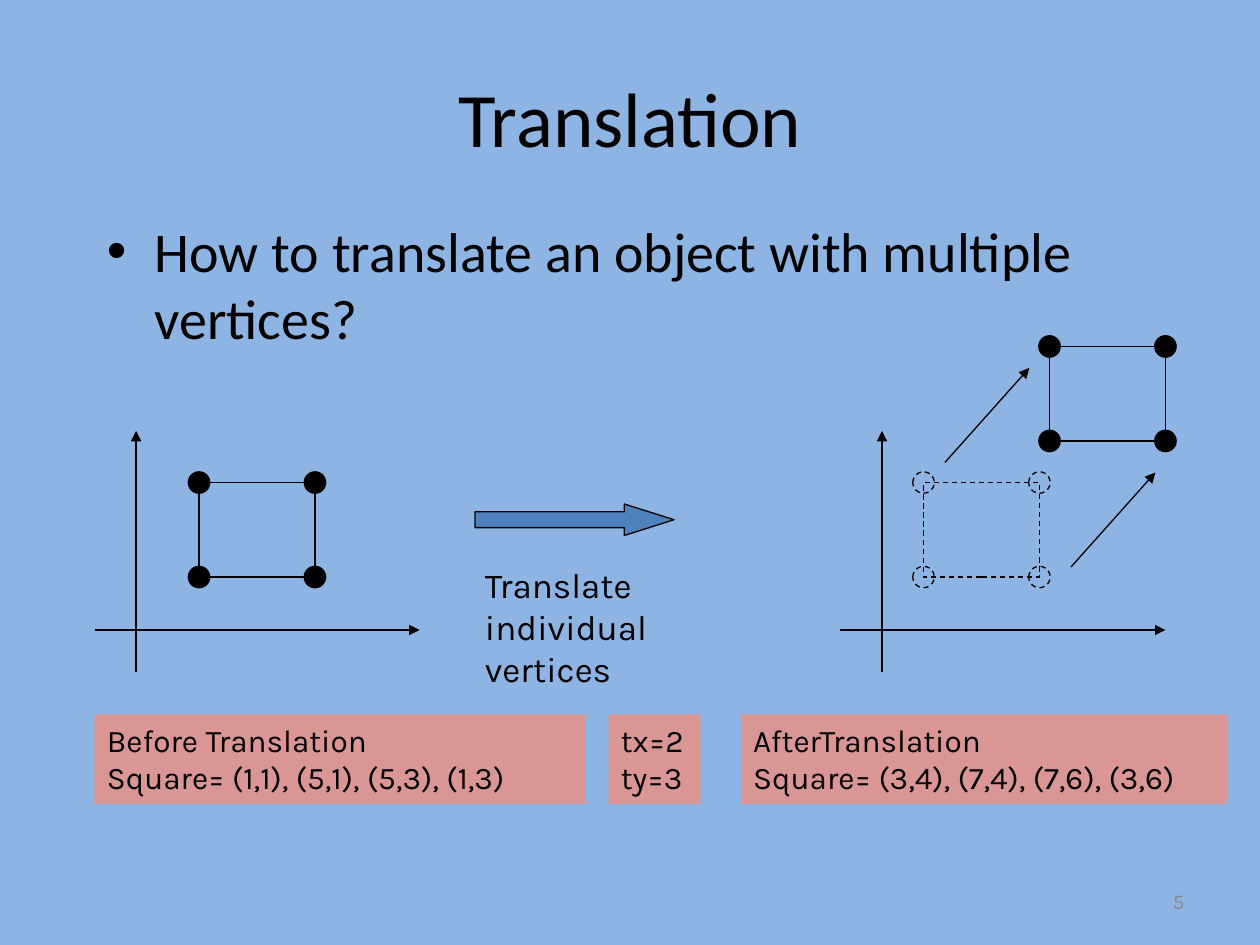
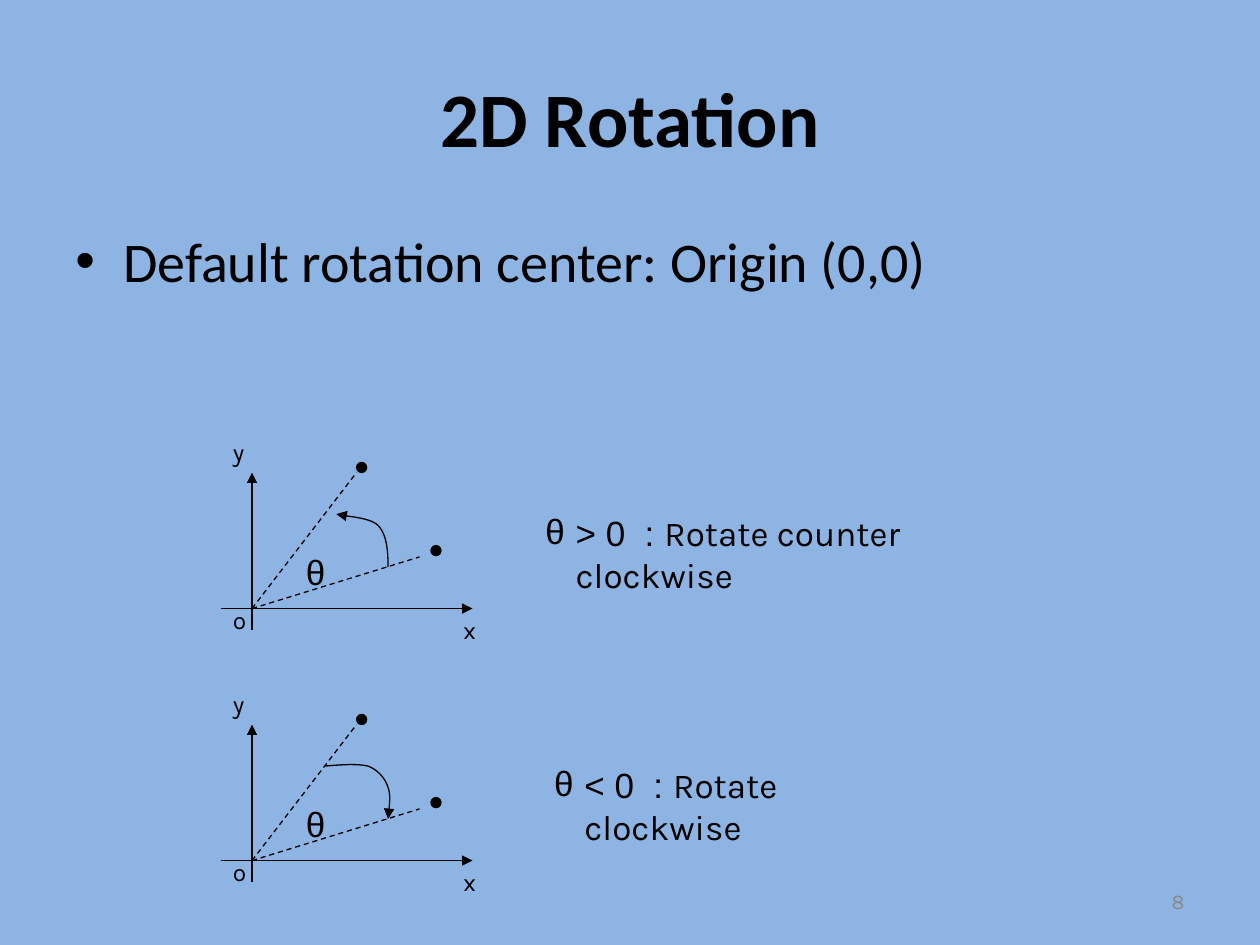
"""Build two slides on translating and rotating shapes in the plane."""
from dataclasses import dataclass
from itertools import product
from typing import Any

from lxml import etree
from pptx import Presentation
from pptx import util as u
from pptx.dml.color import RGBColor
from pptx.enum import dml, shapes, text
from pptx.oxml.ns import qn

SKY = RGBColor(0x8E, 0xB4, 0xE3)
PINK = RGBColor(0xD9, 0x96, 0x94)
BLUE = RGBColor(0x4F, 0x81, 0xBD)
INK = RGBColor(0, 0, 0)
GRAY = RGBColor(0x89, 0x89, 0x89)
HEAD, BODY, SIGN = "Calibri", "Karla", "Arial"
KIND = shapes.MSO_SHAPE
Point = tuple[float, float]


@dataclass(frozen=True)
class Box:
    """A frame on the slide, in inches."""
    left: float
    top: float
    width: float
    height: float

    def lens(self) -> list[u.Length]:
        """Give the four lengths of the frame."""
        return [size(v) for v in (self.left, self.top, self.width, self.height)]


@dataclass(frozen=True)
class Square:
    """A square with a dot on each corner."""
    left: float
    top: float
    ghost: bool = False


@dataclass(frozen=True)
class Note:
    """A pink box of coordinates."""
    left: float
    width: float
    words: str


@dataclass(frozen=True)
class Turn:
    """A rotation diagram; the arc is measured from its origin, upwards."""
    base: float
    arc: list[Point]
    left: float
    width: float
    sign: str
    words: str


SQUARES = [Square(1.58, 3.83), Square(8.33, 2.75), Square(7.33, 3.83, True)]
NOTES = [
    Note(0.75, 3.9, "Before Translation\nSquare= (1,1), (5,1), (5,3), (1,3)"),
    Note(5.88, 3.86, "AfterTranslation\nSquare= (3,4), (7,4), (7,6), (3,6)"),
    Note(4.83, 0.73, "tx=2\nty=3"),
]
TURNS = [
    Turn(4.83, [(1.08, 0.33), (1.08, 0.46), (1.07, 0.59), (1, 0.66),
                (0.93, 0.73), (0.72, 0.73), (0.67, 0.75)],
         4.23, 4.12, "> 0  : ", "Rotate counter clockwise"),
    Turn(6.83, [(0.58, 0.75), (0.71, 0.76), (0.83, 0.77), (0.92, 0.75),
                (1, 0.72), (1.06, 0.65), (1.08, 0.58),
                (1.11, 0.51), (1.08, 0.37), (1.08, 0.33)],
         4.3, 3.1, "< 0  : ", "Rotate clockwise"),
]


def size(inch: float) -> u.Length:
    """Turn inches into a length."""
    return u.Cm(inch * 2.54)


def write(shape: Any, words: str, *, pts: float = 20, font: str = BODY,
          color: RGBColor = INK, bold: bool = False, lead: str = "",
          align: Any = text.PP_ALIGN.LEFT, anchor: Any = text.MSO_ANCHOR.TOP,
          mark: str = "", hang: float = 0.38) -> None:
    """Fill a shape with formatted lines, each after an optional lead and bullet."""
    frame = shape.text_frame
    frame.word_wrap = True
    frame.vertical_anchor = anchor
    for row, line in enumerate(words.split("\n")):
        para = frame.paragraphs[0] if row == 0 else frame.add_paragraph()
        para.alignment = align
        for part, face in ((lead, SIGN), (line, font)):
            if part:
                run = para.add_run()
                run.text = part
                run.font.size = u.Pt(pts)
                run.font.name = face
                run.font.bold = bold
                run.font.color.rgb = color
        if mark:
            props = para._p.get_or_add_pPr()
            props.set("marL", str(size(hang)))
            props.set("indent", str(-size(hang)))
            etree.SubElement(props, qn("a:buFont")).set("typeface", SIGN)
            etree.SubElement(props, qn("a:buChar")).set("char", mark)


def label(slide: Any, words: str, box: Box, **form: Any) -> None:
    """Add a text box."""
    write(slide.shapes.add_textbox(*box.lens()), words, **form)


def stroke(shape: Any, dash: bool = False, tip: bool = False) -> None:
    """Give a shape a thin black line, dashed or with an arrowhead."""
    shape.line.color.rgb = INK
    shape.line.width = u.Pt(0.75)
    if dash:
        shape.line.dash_style = dml.MSO_LINE.DASH
    if tip:
        edge = shape.element.spPr.find(qn("a:ln"))
        etree.SubElement(edge, qn("a:tailEnd")).set("type", "triangle")


def form(slide: Any, kind: Any, box: Box, fill: RGBColor | None = None,
         edge: bool = True, dash: bool = False) -> Any:
    """Add a preset shape."""
    shape = slide.shapes.add_shape(kind, *box.lens())
    shape.shadow.inherit = False
    if fill is None:
        shape.fill.background()
    else:
        shape.fill.solid()
        shape.fill.fore_color.rgb = fill
    if edge:
        stroke(shape, dash)
    else:
        shape.line.fill.background()
    return shape


def link(slide: Any, start: Point, end: Point, dash: bool = False,
         tip: bool = True) -> None:
    """Add a straight line."""
    ends = [size(v) for v in (*start, *end)]
    line = slide.shapes.add_connector(shapes.MSO_CONNECTOR.STRAIGHT, *ends)
    stroke(line, dash, tip)
    etree.SubElement(line.element.spPr, qn("a:effectLst"))


def dot(slide: Any, x: float, y: float, wide: float, ghost: bool = False) -> None:
    """Add a round point around its centre."""
    box = Box(x - wide / 2, y - wide / 2, wide, wide)
    form(slide, KIND.OVAL, box, None if ghost else INK, dash=ghost)


def axes(slide: Any, left: float, x: float, y: float, wide: float,
         low: float, high: float) -> None:
    """Add a pair of axes that cross at x, y."""
    link(slide, (left, y), (left + wide, y))
    link(slide, (x, low), (x, high))


def bend(knots: list[Point], steps: int = 12) -> list[Point]:
    """Sample a chain of cubic curves."""
    trail = [knots[0]]
    for i in range(0, len(knots) - 1, 3):
        for step in range(1, steps + 1):
            t = step / steps
            mix = ((1 - t) ** 3, 3 * t * (1 - t) ** 2, 3 * t * t * (1 - t), t ** 3)
            trail.append(tuple(sum(m * k[d] for m, k in zip(mix, knots[i:i + 4]))
                               for d in (0, 1)))
    return trail


def curve(slide: Any, knots: list[Point]) -> None:
    """Add a curved arrow."""
    trail = [(size(x), size(y)) for x, y in bend(knots)]
    path = slide.shapes.build_freeform(*trail[0])
    path.add_line_segments(trail[1:], close=False)
    shape = path.convert_to_shape()
    shape.shadow.inherit = False
    shape.fill.background()
    stroke(shape, tip=True)


def square(slide: Any, item: Square) -> None:
    """Draw a square and its corners."""
    wide, high = 0.92, 0.75
    form(slide, KIND.RECTANGLE, Box(item.left, item.top, wide, high), dash=item.ghost)
    for dx, dy in product((0, wide), (0, high)):
        dot(slide, item.left + dx, item.top + dy, 0.17, item.ghost)


def turn(slide: Any, item: Turn) -> None:
    """Draw a rotation diagram and its caption."""
    x, y = 2, item.base
    axes(slide, 1.75, x, y, 2, y + 0.17, y - 1.08)
    for dx, dy, cx, cy in ((1.33, 0.41, 1.46, 0.46), (0.83, 1.08, 0.87, 1.12)):
        link(slide, (x, y), (x + dx, y - dy), dash=True, tip=False)
        dot(slide, x + cx, y - cy, 0.08)
    label(slide, "θ", Box(2.33, y - 0.51, 0.35, 0.43), font=SIGN)
    curve(slide, [(x + dx, y - dy) for dx, dy in item.arc])
    for name, left, top in (("x", 3.58, 0), ("y", 1.75, -1.41), ("o", 1.75, -0.08)):
        label(slide, name, Box(left, y + top, 0.33, 0.33), pts=14)
    label(slide, item.words, Box(item.left, y - 0.82, item.width, 0.43),
          lead=item.sign, mark="θ", hang=0.24)


def page(deck: Any, title: str, point: str, box: Box, num: int,
         bold: bool = False) -> Any:
    """Add a slide with background, title, bullet and number."""
    slide = deck.slides.add_slide(deck.slide_layouts[6])
    slide.background.fill.solid()
    slide.background.fill.fore_color.rgb = SKY
    mid = text.MSO_ANCHOR.MIDDLE
    label(slide, str(num), Box(7.17, 6.95, 2.33, 0.4), pts=12, color=GRAY,
          align=text.PP_ALIGN.RIGHT, anchor=mid)
    label(slide, title, Box(0.5, 0.3, 9, 1.25), pts=44, font=HEAD, bold=bold,
          align=text.PP_ALIGN.CENTER, anchor=mid)
    label(slide, point, box, pts=32, font=HEAD, mark="•")
    return slide


def shift(deck: Any) -> None:
    """Build the translation slide."""
    slide = page(deck, "Translation",
                 "How to translate an object with multiple vertices?",
                 Box(0.75, 1.67, 8.5, 4.5), 5)
    for left, x in ((0.75, 1.08), (6.67, 7)):
        axes(slide, left, x, 5, 2.58, 5.33, 3.42)
    for item in SQUARES:
        square(slide, item)
    for x, y in ((7.5, 3.67), (8.5, 4.5)):
        link(slide, (x, y), (x + 0.67, y - 0.75))
    arrow = form(slide, KIND.RIGHT_ARROW, Box(3.77, 4, 1.58, 0.25), BLUE)
    arrow.adjustments[1] = 1.58
    label(slide, "Translate individual\nvertices", Box(3.75, 4.42, 2.58, 0.77))
    for note in NOTES:
        card = form(slide, KIND.RECTANGLE, Box(note.left, 5.67, note.width, 0.71),
                    PINK, edge=False)
        write(card, note.words, pts=18)


def spin(deck: Any) -> None:
    """Build the rotation slide."""
    slide = page(deck, "2D Rotation", "Default rotation center: Origin (0,0)",
                 Box(0.5, 1.75, 9, 4.95), 8, bold=True)
    for item in TURNS:
        turn(slide, item)


def main() -> None:
    """Build and save the deck."""
    deck = Presentation()
    deck.slide_width, deck.slide_height = size(10), size(7.5)
    shift(deck)
    spin(deck)
    deck.save("out.pptx")


if __name__ == "__main__":
    main()
